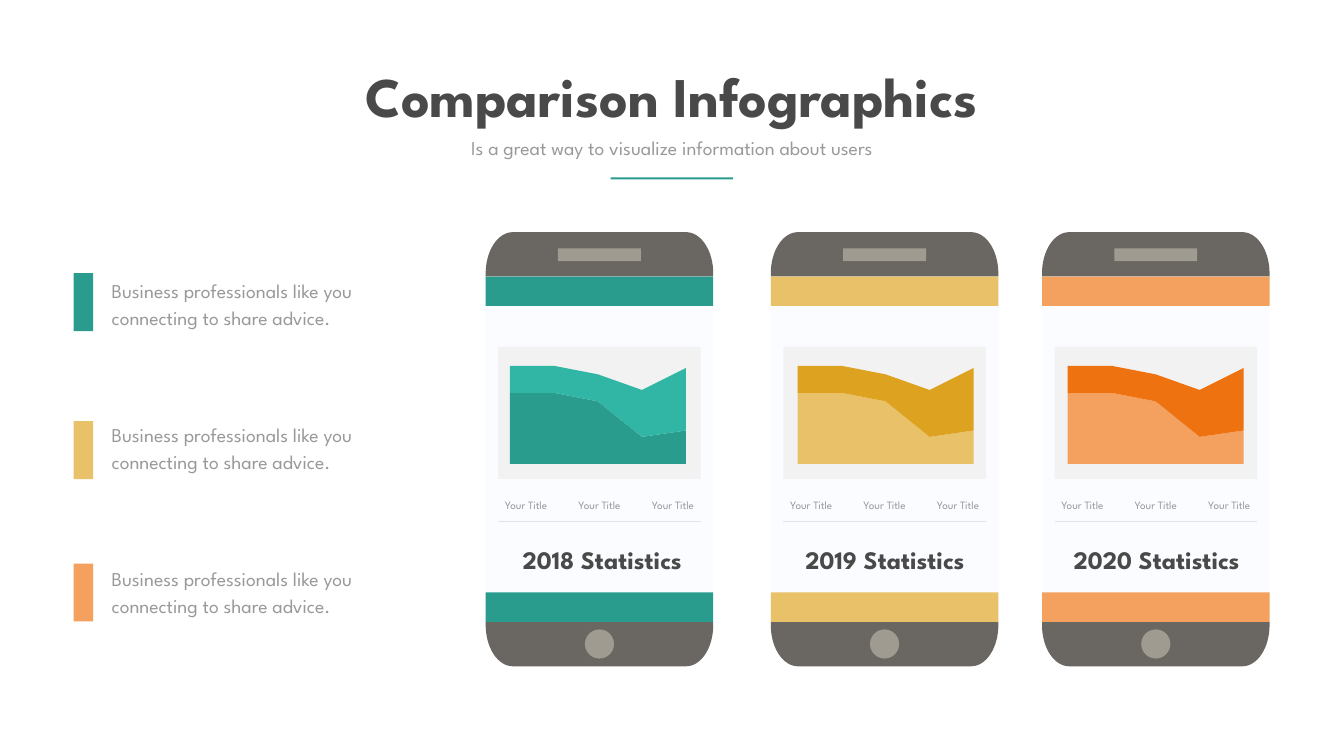
import math
import pptx
import pptx.chart.data
import pptx.enum.chart
import pptx.enum.shapes
import pptx.enum.text
import pptx.oxml
import pptx.oxml.ns
import pptx.util
from pptx.dml.color import RGBColor
from pptx.util import Cm, Pt

HEX = {
    "dark": "494949", "gray": "999999", "case": "6A6762", "trim": "A09B91",
    "screen": "FAFCFF", "panel": "F2F2F2", "rule": "E3E4E5",
    "teal": "2A9C8E", "teal2": "31B5A4",
    "gold": "E9C169", "gold2": "DDA220",
    "peach": "F4A15F", "peach2": "EE7210",
}
FONT = "League Spartan"
ADVICE = "Business professionals like you connecting to share advice."
LABELS = ["Your Title"] * 3
SERIES = {"Series 1": (100, 100, 88, 38, 47), "Series 2": (38, 38, 38, 66, 88)}

# Lengths are in centimetres; left edges of the phone, its chart and heading
PHONES = [
    dict(head="2018 Statistics", main="teal", top="teal2", left=24.48,
         chart=24.82, text=24.97, bar=13.77),
    dict(head="2019 Statistics", main="gold", top="gold2", left=38.85,
         chart=39.32, text=39.22, bar=21.23),
    dict(head="2020 Statistics", main="peach", top="peach2", left=52.52,
         chart=52.93, text=52.91, bar=28.4),
]
WIDE = 11.47            # phone width
ROOF, FLOOR = 13.94, 31.34   # top and bottom of the screen
BAND = 1.48
INNER = 10.21           # width of the chart panel and the rule
STEP = 3.7              # gap between label centres
LABEL = 5.31            # label width

RECT = pptx.enum.shapes.MSO_SHAPE.RECTANGLE
OVAL = pptx.enum.shapes.MSO_SHAPE.OVAL
CENTER = pptx.enum.text.PP_ALIGN.CENTER

deck = pptx.Presentation()
deck.slide_width, deck.slide_height = Cm(67.74), Cm(38.1)
slide = deck.slides.add_slide(deck.slide_layouts[5])


def color(key):
    return RGBColor.from_string(HEX[key])


def paint(shape, key):
    shape.shadow.inherit = False
    shape.fill.solid()
    shape.fill.fore_color.rgb = color(key)
    shape.line.fill.background()


def block(x, y, w, h, key, kind=RECT):
    paint(slide.shapes.add_shape(kind, Cm(x), Cm(y), Cm(w), Cm(h)), key)


def write(box, words, size, key, bold=False, align=CENTER, lead=None):
    frame = box.text_frame
    frame.word_wrap = True
    frame.vertical_anchor = pptx.enum.text.MSO_ANCHOR.TOP
    para = frame.paragraphs[0]
    para.text = words
    para.alignment = align
    if lead:
        para.line_spacing = Pt(lead)
    para.font.name, para.font.size, para.font.bold = FONT, Pt(size), bold
    para.font.color.rgb = color(key)


def note(x, y, w, h, words, size, key, home=slide, **style):
    box = home.shapes.add_textbox(Cm(x), Cm(y), Cm(w), Cm(h))
    write(box, words, size, key, **style)


def cap(x, flat, way):
    """Draw a phone end with elliptic corners; way is -1 for up, 1 for down."""
    across, rise, edge = 1.37, 2.08, 0.16
    turns = [math.pi / 2 * k / 16 for k in range(17)]
    curve = [(across * (1 - math.cos(a)), flat + way * (edge + rise * math.sin(a)))
             for a in turns]
    spots = [(x + dx, y) for dx, y in curve]
    spots += [(x + WIDE - dx, y) for dx, y in reversed(curve)]
    spots.append((x + WIDE, flat))
    pen = slide.shapes.build_freeform(Cm(x), Cm(flat))
    pen.add_line_segments([(Cm(a), Cm(b)) for a, b in spots])
    paint(pen.convert_to_shape(), "case")


def rule(x, y, w):
    line = slide.shapes.add_connector(
        pptx.enum.shapes.MSO_CONNECTOR.STRAIGHT, Cm(x), Cm(y), Cm(x + w), Cm(y))
    line.line.color.rgb = color("rule")
    line.line.width = Pt(1.5)
    pptx.oxml.ns.qn("a:effectLst")
    line.element.spPr.append(pptx.oxml.parse_xml(
        "<a:effectLst %s/>" % pptx.oxml.ns.nsdecls("a")))


def graph(x, keys):
    data = pptx.chart.data.CategoryChartData()
    data.categories = ["1", "2", "3", "4", "5"]
    for name, vals in SERIES.items():
        data.add_series(name, vals)
    chart = slide.shapes.add_chart(
        pptx.enum.chart.XL_CHART_TYPE.AREA_STACKED,
        Cm(x), Cm(16.43), Cm(10.26), Cm(8), data).chart
    chart.has_title = chart.has_legend = False
    chart.font.name, chart.font.size = "Manrope", Pt(26)
    chart.font.color.rgb = color("gold")
    for axis in (chart.category_axis, chart.value_axis):
        axis.has_major_gridlines = False
        axis.visible = False
    axis = chart.value_axis
    axis.minimum_scale, axis.maximum_scale, axis.major_unit = 0, 186, 62
    chart.plots[0].vary_by_categories = False
    for row, key in zip(chart.plots[0].series, keys):
        row.format.fill.solid()
        row.format.fill.fore_color.rgb = color(key)
        row.format.line.fill.background()
    area = chart.element.find(".//" + pptx.oxml.ns.qn("c:plotArea"))
    for old in area.findall(pptx.oxml.ns.qn("c:layout")):
        area.remove(old)
    sides = "".join('<c:%s val="%s"/>' % pair for pair in (
        ("layoutTarget", "inner"), ("xMode", "edge"), ("yMode", "edge"),
        ("x", 0.086), ("y", 0.036), ("w", 0.865), ("h", 0.833)))
    area.insert(0, pptx.oxml.parse_xml(
        "<c:layout %s><c:manualLayout>%s</c:manualLayout></c:layout>"
        % (pptx.oxml.ns.nsdecls("c"), sides)))


def phone(item):
    x, main = item["left"], item["main"]
    mid = x + WIDE / 2
    cap(x, ROOF, -1)
    cap(x, FLOOR, 1)
    block(x, ROOF, WIDE, FLOOR - ROOF, "screen")
    block(mid - 2.09, 12.52, 4.18, 0.64, "trim")
    block(mid - 0.735, 31.72, 1.47, 1.47, "trim", OVAL)
    block(mid - INNER / 2, 17.48, INNER, 6.65, "panel")
    rule(mid - INNER / 2, 26.26, INNER)
    for y in (ROOF, FLOOR - BAND):
        block(x, y, WIDE, BAND, main)
    graph(item["chart"], (main, item["top"]))
    note(item["text"], 27.33, 10.77, 1.8, item["head"], 36, "dark", bold=True)
    group = slide.shapes.add_group_shape()
    for k, words in enumerate(LABELS):
        note(mid + (k - 1) * STEP - LABEL / 2, 24.28, LABEL, 1.45, words,
             16, "gray", home=group, lead=38.6)


title = slide.shapes.title
title.left, title.top, title.width, title.height = Cm(15.77), Cm(2.97), Cm(36.14), Cm(3.68)
write(title, "Comparison Infographics", 80, "dark", bold=True)
note(21.72, 6.73, 24.28, 1.45,
     "Is a great way to visualize information about users", 28, "gray")
block(30.78, 8.94, 6.17, 0.1, "teal")

for k, item in enumerate(PHONES):
    phone(item)
    block(3.71, item["bar"], 0.99, 2.92, item["main"])
    note(5.38, 13.77 + 7.24 * k, 15.54, 3, ADVICE, 28, "gray",
         align=pptx.enum.text.PP_ALIGN.LEFT, lead=38.6)

deck.save("out.pptx")
